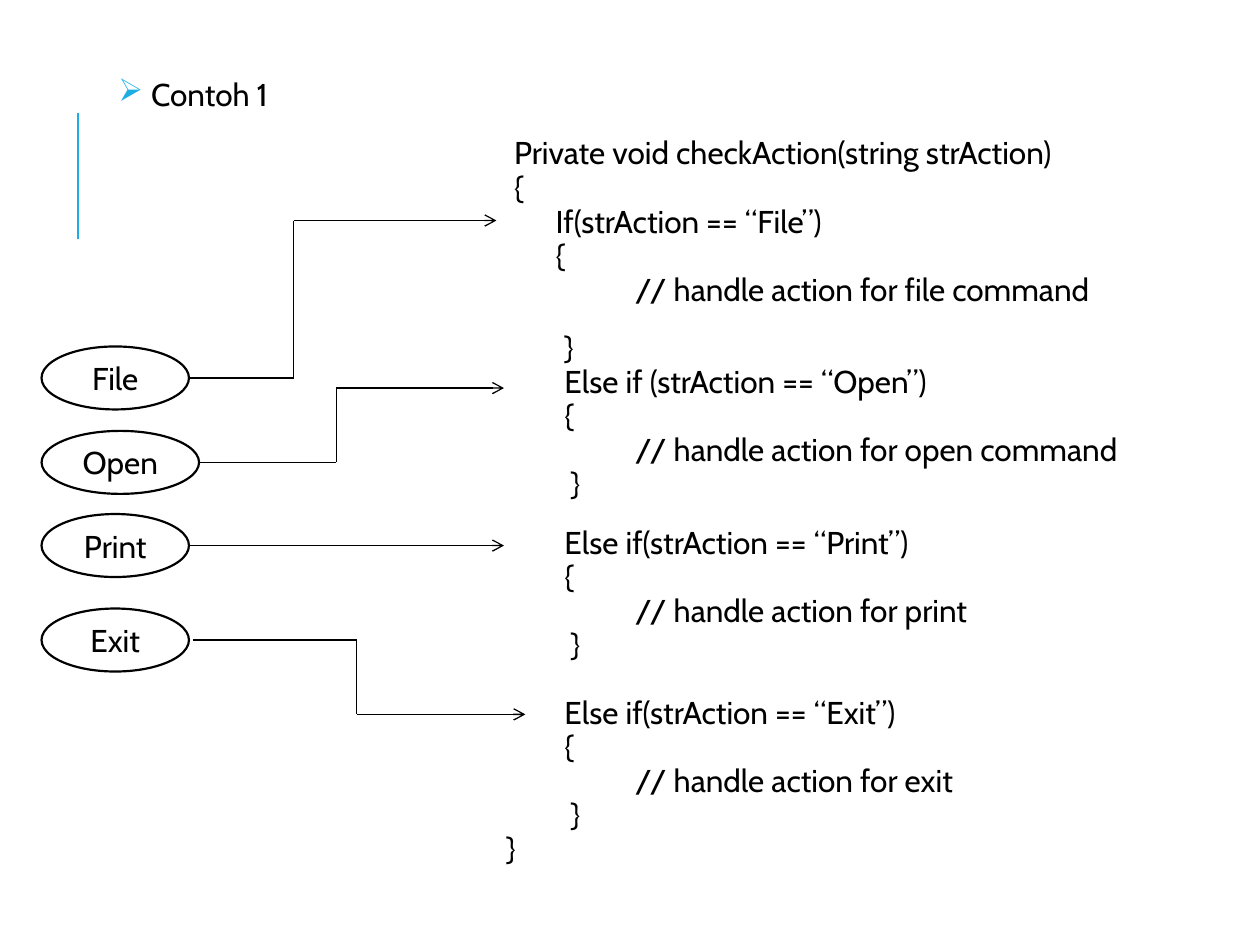
from dataclasses import dataclass
from itertools import pairwise

from lxml import etree
from pptx import Presentation
from pptx.dml.color import RGBColor
from pptx.enum.shapes import MSO_CONNECTOR, MSO_SHAPE
from pptx.enum.text import MSO_ANCHOR, PP_ALIGN
from pptx.oxml.ns import qn
from pptx.util import Inches, Pt

STRAIGHT = MSO_CONNECTOR.STRAIGHT
ELLIPSE = MSO_SHAPE.OVAL
MIDDLE = MSO_ANCHOR.MIDDLE
TOP = MSO_ANCHOR.TOP
CENTER = PP_ALIGN.CENTER

COLORS = {"ink": "000000", "paper": "FFFFFF", "accent": "1CADE4"}
FONT = "Cabin"
TEXT_SIZE = 18
BLOCK_GAP = 14
BLANK_LINE_GAP = 19.6


@dataclass
class Command:
    label: str
    top: float
    width: float
    route: list[tuple[float, float]]


@dataclass
class CodeLine:
    text: str
    indent: float
    gap: float = 0


COMMANDS = [
    Command("File", 2.75, 1.17, [(1.5, 3), (2.33, 3), (2.33, 1.75), (3.94, 1.75)]),
    Command("Open", 3.42, 1.25, [(1.58, 3.67), (2.67, 3.67), (2.67, 3.08), (4, 3.08)]),
    Command("Print", 4.08, 1.17, [(1.5, 4.33), (4, 4.33)]),
    Command("Exit", 4.83, 1.17, [(1.53, 5.08), (2.83, 5.08), (2.83, 5.67), (4.17, 5.67)]),
]


def else_branch(condition: str, action: str, gap: float = 0) -> list[CodeLine]:
    return [
        CodeLine(f"Else if{condition}", 3.54, gap),
        CodeLine("{", 3.54),
        CodeLine(f"// handle action for {action}", 4.1),
        CodeLine("}", 3.59),
    ]


CODE = [
    CodeLine("Private void checkAction(string strAction)", 3.14, BLOCK_GAP),
    CodeLine("{", 3.14),
    CodeLine("If(strAction == “File”)", 3.47),
    CodeLine("{", 3.47),
    CodeLine("// handle action for file command", 4.1),
    CodeLine("}", 3.54, BLOCK_GAP),
    *else_branch(" (strAction == “Open”)", "open command"),
    *else_branch("(strAction == “Print”)", "print", BLOCK_GAP),
    *else_branch("(strAction == “Exit”)", "exit", BLANK_LINE_GAP),
    CodeLine("}", 3.08),
]


def color(key: str) -> RGBColor:
    return RGBColor.from_string(COLORS[key])


def add_run(paragraph, text: str) -> None:
    run = paragraph.add_run()
    run.text = text
    run.font.name = FONT
    run.font.size = Pt(TEXT_SIZE)
    run.font.color.rgb = color("ink")


def add_line(start: tuple[float, float], end: tuple[float, float],
             width: float = 0.75, color_key: str = "ink", arrow: bool = False) -> None:
    line = slide.shapes.add_connector(STRAIGHT, *map(Inches, start + end))
    line.line.color.rgb = color(color_key)
    line.line.width = Pt(width)
    if arrow:
        etree.SubElement(line.line._get_or_add_ln(), qn("a:tailEnd"), type="arrow")
    etree.SubElement(line._element.spPr, qn("a:effectLst"))


def add_command(command: Command) -> None:
    bubble = slide.shapes.add_shape(
        ELLIPSE, Inches(0.33), Inches(command.top), Inches(command.width), Inches(0.5))
    bubble.shadow.inherit = False
    bubble.fill.solid()
    bubble.fill.fore_color.rgb = color("paper")
    bubble.line.color.rgb = color("ink")
    bubble.line.width = Pt(1.25)
    bubble.text_frame.vertical_anchor = MIDDLE
    caption = bubble.text_frame.paragraphs[0]
    caption.alignment = CENTER
    add_run(caption, command.label)
    legs = list(pairwise(command.route))
    for leg in legs:
        add_line(*leg, arrow=leg is legs[-1])


def set_indent(paragraph, left: float, hanging: float = 0) -> None:
    properties = paragraph._p.get_or_add_pPr()
    properties.set("marL", str(Inches(left)))
    properties.set("indent", str(Inches(-hanging)))


def add_bullet(paragraph) -> None:
    properties = paragraph._p.get_or_add_pPr()
    bullet_color = etree.SubElement(properties, qn("a:buClr"))
    etree.SubElement(bullet_color, qn("a:srgbClr"), val=COLORS["accent"])
    etree.SubElement(properties, qn("a:buChar"), char="➢")


def add_example() -> None:
    frame = slide.shapes.add_textbox(
        Inches(0.89), Inches(0.58), Inches(9), Inches(6.67)).text_frame
    frame.word_wrap = True
    frame.vertical_anchor = TOP
    frame.margin_left = frame.margin_right = Inches(0.05)
    frame.margin_top = frame.margin_bottom = Inches(0.05)
    heading = frame.paragraphs[0]
    heading.line_spacing = 0.9
    set_indent(heading, 0.26, 0.26)
    add_bullet(heading)
    add_run(heading, "Contoh 1")
    for code_line in CODE:
        paragraph = frame.add_paragraph()
        paragraph.line_spacing = 0.9
        paragraph.space_before = Pt(code_line.gap)
        set_indent(paragraph, code_line.indent)
        add_run(paragraph, code_line.text)


presentation = Presentation()
presentation.slide_width = Inches(10)
presentation.slide_height = Inches(7.5)
slide = presentation.slides.add_slide(presentation.slide_layouts[6])

add_line((0.62, 1.9), (0.62, 0.9), 1.5, "accent")
add_example()
for command in COMMANDS:
    add_command(command)

presentation.save("out.pptx")
